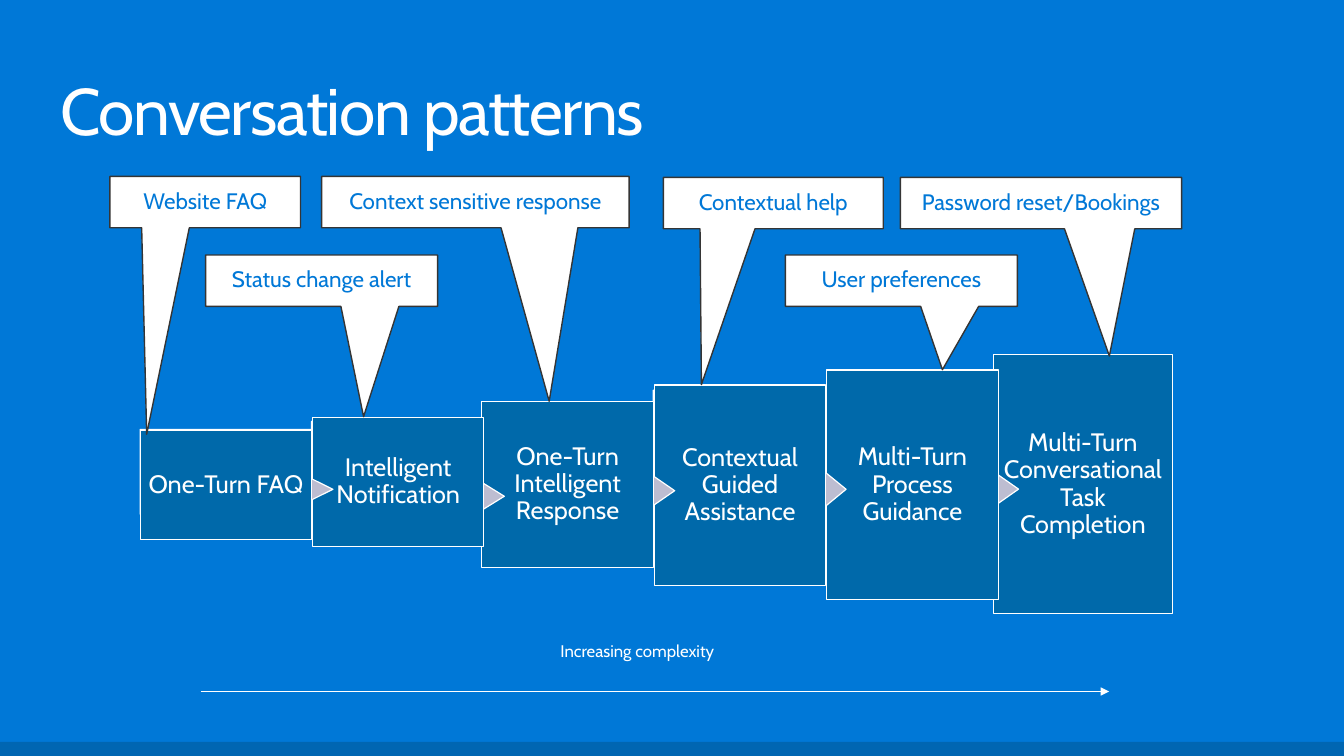
"""Build the conversation patterns slide."""
from lxml import etree
from pptx import Presentation, util as u
from pptx.dml.color import RGBColor
from pptx.enum import shapes, text
from pptx.oxml.ns import qn

I = u.Inches


def paint(sp, fill, line=None, width=0.85):
    sp.shadow.inherit = False
    sp.fill.solid()
    sp.fill.fore_color.rgb = RGBColor.from_string(fill)
    if line:
        sp.line.color.rgb = RGBColor.from_string(line)
        sp.line.width = u.Pt(width)
    else:
        sp.line.fill.background()


def write(sp, words, size, color, align, inset=(0.1, 0.05), spacing=0.9,
          anchor=text.MSO_ANCHOR.MIDDLE, wrap=True):
    tf = sp.text_frame
    tf.word_wrap = wrap
    tf.vertical_anchor = anchor
    tf.margin_left = tf.margin_right = I(inset[0])
    tf.margin_top = tf.margin_bottom = I(inset[1])
    p = tf.paragraphs[0]
    p.alignment = align
    p.line_spacing = spacing
    r = p.add_run()
    r.text = words
    r.font.size = u.Pt(size)
    r.font.name = "Cabin"
    r.font.color.rgb = RGBColor.from_string(color)
    return r


prs = Presentation()
prs.slide_width, prs.slide_height = I(13.33), I(7.5)
s = prs.slides.add_slide(prs.slide_layouts[6])
s.background.fill.solid()
s.background.fill.fore_color.rgb = RGBColor.from_string("0078D7")
RECT = shapes.MSO_SHAPE.RECTANGLE
CALLOUT = shapes.MSO_SHAPE.RECTANGULAR_CALLOUT
LEFT, CENTER = text.PP_ALIGN.LEFT, text.PP_ALIGN.CENTER
TOP = text.MSO_ANCHOR.TOP

footer = s.shapes.add_shape(RECT, 0, I(7.36), I(13.33), I(0.14))
paint(footer, "0066B2")

steps = [
    ("Multi-Turn Conversational Task Completion", (9.85, 3.52, 1.78, 2.57), (9.86, 4.63, 1.7, 1.16)),
    ("Multi-Turn Process Guidance", (8.2, 3.67, 1.7, 2.28), (8.19, 4.01, 1.7, 1.19)),
    ("Contextual Guided Assistance", (6.49, 3.82, 1.7, 1.99), (6.48, 3.87, 1.7, 1.39)),
    ("One-Turn Intelligent Response", (4.78, 3.98, 1.7, 1.65), (4.78, 4.04, 1.7, 1.17)),
    ("Intelligent Notification", (3.1, 4.14, 1.7, 1.28), (3.09, 4.18, 1.7, 1.05)),
    ("One-Turn FAQ", (1.39, 4.27, 1.7, 1.08), (1.39, 4.26, 1.7, 0.84)),
]
for i, (label, box, pointer) in enumerate(steps):
    sp = s.shapes.add_shape(CALLOUT, *map(I, pointer))
    sp.adjustments[0], sp.adjustments[1] = (0.625, 0.208) if i else (0, 0)
    paint(sp, "BDBDD1", "FFFFFF")
    sp = s.shapes.add_shape(RECT, *map(I, box))
    paint(sp, "0069AA", "FFFFFF")
    write(sp, label, 18, "FFFFFF", CENTER, (0.06, 0.06))

arrow = s.shapes.add_connector(shapes.MSO_CONNECTOR.STRAIGHT, I(1.99), I(6.86), I(11), I(6.86))
arrow.line.color.rgb = RGBColor.from_string("FFFFFF")
arrow.line.width = u.Pt(0.75)
etree.SubElement(arrow.line._get_or_add_ln(), qn("a:tailEnd"), type="triangle")
etree.SubElement(arrow._element.spPr, qn("a:effectLst"))

sp = s.shapes.add_textbox(I(5.46), I(6.31), I(2.08), I(0.34))
write(sp, "Increasing complexity", 12, "FFFFFF", LEFT, spacing=1.0, anchor=TOP)

sp = s.shapes.add_textbox(I(0.44), I(0.68), I(12.75), I(0.98))
r = write(sp, "Conversation patterns", 47, "FFFFFF", LEFT, (0.16, 0.1), anchor=TOP)
r.font._element.set("spc", "-100")

examples = [
    ("Website FAQ", 1.09, 1.75, 1.89, -0.307, 4.518),
    ("Status change alert", 2.04, 2.53, 2.3, 0.181, 2.646),
    ("Context sensitive response", 3.19, 1.75, 3.05, 0.24, 3.875),
    ("Contextual help", 6.58, 1.76, 2.18, -0.327, 3.532),
    ("User preferences", 7.79, 2.53, 2.3, 0.177, 1.732),
    ("Password reset/Bookings", 8.93, 1.76, 2.79, 0.243, 2.975),
]
for label, x, y, w, tip_x, tip_y in examples:
    sp = s.shapes.add_shape(CALLOUT, I(x), I(y), I(w), I(0.51))
    sp.adjustments[0], sp.adjustments[1] = tip_x, tip_y
    paint(sp, "FFFFFF", "353535", 1)
    write(sp, label, 16, "0078D7", CENTER, (0.2, 0.16), wrap=False)

prs.save("out.pptx")
